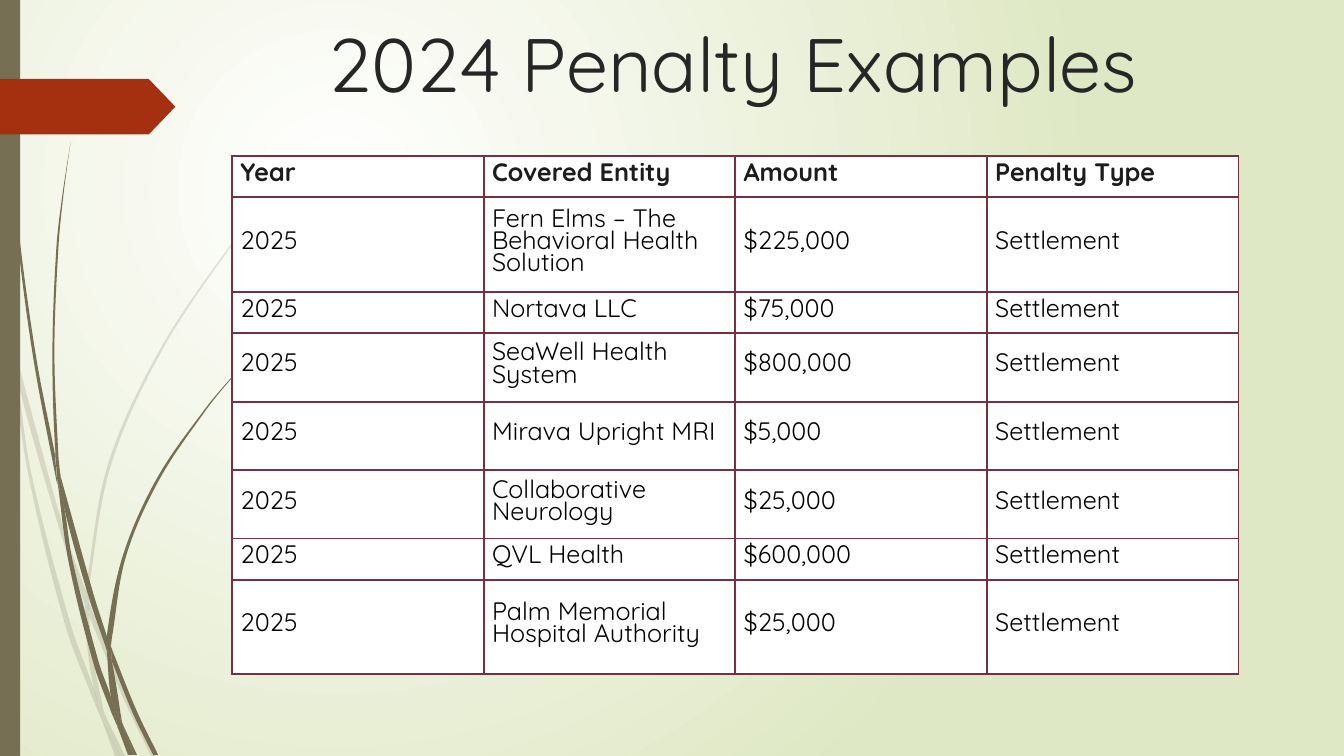
from dataclasses import dataclass
from itertools import product

from lxml.etree import SubElement
from pptx import Presentation
from pptx.dml.color import RGBColor
from pptx.enum.shapes import MSO_SHAPE
from pptx.enum.text import MSO_ANCHOR, PP_ALIGN
from pptx.oxml import parse_xml
from pptx.oxml.ns import nsdecls, qn
from pptx.util import Cm, Pt


@dataclass(frozen=True)
class Theme:
    font: str = "Quicksand"
    title_size: float = 54
    table_size: float = 18
    line_spacing: float = 15.8
    border_width: float = 1.5
    title: str = "262626"
    header: str = "1C1C1C"
    body: str = "000000"
    cell: str = "FFFFFF"
    border: str = "753043"
    stem: str = "766F54"
    arrow: str = "A53010"
    glow: str = "FFFFFF"
    backdrop: str = "DFE8C4"


THEME = Theme()
GRASS_UNIT = 0.0254

PALE_BLADES = [
    [[(11, 350), (9, 322), (0, 282)], [(0, 299), (10, 344), (11, 350)]],
    [[(14, 345), (17, 376), (58, 522), (84, 599)], [(85, 586), (62, 520), (14, 345)]],
    [[(88, 596), (92, 607), (127, 692), (155, 750)], [(150, 750), (123, 694), (88, 610)]],
    [[(105, 711), (124, 750)], [(119, 750), (105, 711)]],
    [[(11, 350), (17, 376), (31, 469), (70, 619), (93, 683), (99, 707), (101, 714)],
     [(92, 693), (65, 621), (28, 470), (11, 350)]],
    [[(84, 599), (87, 646), (93, 683), (96, 692), (105, 711)],
     [(103, 706), (91, 646), (88, 610), (84, 599)]],
    [[(85, 586), (85, 584), (107, 461), (158, 348), (228, 244), (268, 197), (289, 175), (312, 153)],
     [(312, 154), (290, 175), (268, 198), (229, 245), (160, 349), (110, 462), (88, 584), (88, 596)]],
    [[(101, 714), (114, 750)], [(119, 750), (101, 714)]],
    [[(88, 610), (88, 596), (85, 586)], [(84, 599), (88, 608)]],
    [[(93, 683), (99, 707), (101, 714), (119, 750)], [(105, 711), (96, 692), (93, 683)]],
]
DARK_BLADES = [
    [[(3, 0), (4, 48), (7, 110), (17, 233), (33, 355), (56, 477), (57, 481)],
     [(55, 457), (55, 453), (36, 355), (19, 232), (8, 109), (5, 48), (4, 0)]],
    [[(60, 472), (64, 505), (88, 592), (106, 645)], [(106, 631), (93, 590), (60, 472)]],
    [[(110, 641), (113, 649), (136, 706), (157, 749)], [(152, 749), (132, 708), (111, 656)]],
    [[(57, 477), (64, 505), (72, 556), (98, 657), (110, 691), (116, 717), (117, 722)],
     [(111, 708), (93, 659), (68, 557), (57, 477)]],
    [[(60, 472), (58, 453), (54, 349), (58, 245), (63, 193), (70, 141)],
     [(70, 141), (62, 193), (56, 245), (52, 349), (55, 449), (60, 472)]],
    [[(122, 719), (136, 749)], [(133, 749), (122, 719)]],
    [[(57, 477), (64, 505)], [(60, 472), (55, 449)], [(55, 453), (57, 477)]],
    [[(111, 633), (125, 552), (158, 476), (205, 406), (231, 374), (245, 359), (261, 344)],
     [(260, 344), (245, 358), (231, 373), (204, 405), (156, 474), (122, 551), (106, 631), (110, 641)]],
    [[(117, 722), (127, 749)], [(131, 749), (117, 722)]],
    [[(106, 645), (110, 691), (116, 706), (122, 719)], [(121, 716), (111, 656), (106, 645)]],
    [[(106, 645), (111, 656)], [(110, 641), (106, 631)]],
    [[(110, 691), (116, 717), (117, 722), (130, 749)],
     [(133, 749), (122, 719), (116, 706), (110, 691)]],
]

PENALTIES = [
    ("Fern Elms – The Behavioral Health Solution", "$225,000", 2.38),
    ("Nortava LLC", "$75,000", 1.04),
    ("SeaWell Health System", "$800,000", 1.73),
    ("Mirava Upright MRI", "$5,000", 1.73),
    ("Collaborative Neurology", "$25,000", 1.72),
    ("QVL Health", "$600,000", 1.04),
    ("Palm Memorial Hospital Authority", "$25,000", 2.38),
]
HEADINGS = ("Year", "Covered Entity", "Amount", "Penalty Type")
HEADING_HEIGHT = 1.04


def write(frame, text, *, size, color, bold=False, align=PP_ALIGN.LEFT, spacing=None):
    paragraph = frame.paragraphs[0]
    paragraph.alignment = align
    if spacing:
        paragraph.line_spacing = Pt(spacing)
    run = paragraph.add_run()
    run.text = text
    run.font.name = THEME.font
    run.font.size = Pt(size)
    run.font.bold = bold
    run.font.color.rgb = RGBColor.from_string(color)


def paint(shape, color, alpha=None):
    shape.shadow.inherit = False
    shape.fill.solid()
    shape.fill.fore_color.rgb = RGBColor.from_string(color)
    shape.line.fill.background()
    if alpha:
        tint = shape.element.spPr.find(f"{qn('a:solidFill')}/{qn('a:srgbClr')}")
        SubElement(tint, qn("a:alpha"), val=str(alpha * 1000))


def curve_controls(side):
    points = [complex(*point) for point in side]
    ends = [points[0]] + points + [points[-1]]
    headings = [(after - before) / abs(after - before) for before, after in zip(ends, ends[2:])]
    controls = []
    for i, (start, end) in enumerate(zip(points, points[1:])):
        reach = abs(end - start) / 3
        controls += [start + headings[i] * reach, end - headings[i + 1] * reach, end]
    return controls


def bend(blade):
    lines = list(blade.element.iter(qn("a:lnTo")))
    for first, second, last in zip(lines[::3], lines[1::3], lines[2::3]):
        curve = parse_xml(f'<a:cubicBezTo {nsdecls("a")}/>')
        first.addprevious(curve)
        for line in (first, second, last):
            curve.append(line[0])
            line.getparent().remove(line)


def add_grass(slide, left, top, blades, alpha=None):
    for sides in blades:
        outline = [complex(*sides[0][0])]
        for side in sides:
            start = complex(*side[0])
            if start != outline[-1]:
                outline += [outline[-1], start, start]
            outline += curve_controls(side)
        corners = [(Cm(point.real * GRASS_UNIT), Cm(point.imag * GRASS_UNIT)) for point in outline]
        builder = slide.shapes.build_freeform(*corners[0])
        builder.add_line_segments(corners[1:], close=True)
        blade = builder.convert_to_shape(Cm(left), Cm(top))
        bend(blade)
        paint(blade, THEME.stem, alpha)


def add_backdrop(slide):
    fill = slide.background.fill
    fill.gradient()
    for stop, color, position in zip(fill.gradient_stops, (THEME.glow, THEME.backdrop), (0, 1)):
        stop.color.rgb = RGBColor.from_string(color)
        stop.position = position
    linear = slide.element.find(f".//{qn('a:lin')}")
    linear.getparent().replace(linear, parse_xml(
        f'<a:path {nsdecls("a")} path="circle">'
        '<a:fillToRect l="50000" t="50000" r="100000" b="100000"/></a:path>'))


def add_side_decor(slide, left, top, height):
    add_grass(slide, left, top, PALE_BLADES, alpha=20)
    add_grass(slide, left, top, DARK_BLADES)
    bar = slide.shapes.add_shape(MSO_SHAPE.RECTANGLE, Cm(left), Cm(top), Cm(0.51), Cm(height))
    paint(bar, THEME.stem)
    arrow = slide.shapes.add_shape(
        MSO_SHAPE.PENTAGON, Cm(left), Cm(top + 1.99), Cm(4.42), Cm(1.4))
    arrow.adjustments[0] = 0.48
    paint(arrow, THEME.arrow)


def place_title(slide, left, top, width, height):
    title = slide.shapes.title
    title.left, title.top, title.width, title.height = map(Cm, (left, top, width, height))
    title.text_frame.vertical_anchor = MSO_ANCHOR.TOP
    write(title.text_frame, "2024 Penalty Examples", size=THEME.title_size,
          color=THEME.title, align=PP_ALIGN.CENTER)


def outline_cell(cell):
    properties = cell._tc.get_or_add_tcPr()
    for position, edge in enumerate(("lnL", "lnR", "lnT", "lnB")):
        properties.insert(position, parse_xml(
            f'<a:{edge} {nsdecls("a")} w="{Pt(THEME.border_width)}"><a:solidFill>'
            f'<a:srgbClr val="{THEME.border}"/></a:solidFill></a:{edge}>'))


def add_penalty_table(slide, left, top, width):
    rows = [HEADINGS] + [("2025", entity, amount, "Settlement") for entity, amount, _ in PENALTIES]
    heights = [HEADING_HEIGHT] + [height for *_, height in PENALTIES]
    table = slide.shapes.add_table(len(rows), len(HEADINGS), Cm(left), Cm(top),
                                   Cm(width), Cm(sum(heights))).table
    table.first_row = table.horz_banding = False
    for row, height in zip(table.rows, heights):
        row.height = Cm(height)
    for r, c in product(range(len(rows)), range(len(HEADINGS))):
        cell = table.cell(r, c)
        cell.margin_left = cell.margin_right = Cm(0.21)
        cell.margin_top = cell.margin_bottom = Cm(0.15)
        cell.vertical_anchor = MSO_ANCHOR.MIDDLE
        cell.fill.solid()
        cell.fill.fore_color.rgb = RGBColor.from_string(THEME.cell)
        outline_cell(cell)
        write(cell.text_frame, rows[r][c], size=THEME.table_size, bold=r == 0,
              color=THEME.body if r else THEME.header, spacing=THEME.line_spacing)


def main():
    deck = Presentation()
    deck.slide_width, deck.slide_height = Cm(33.87), Cm(19.05)
    slide = deck.slides.add_slide(deck.slide_layouts[5])
    add_backdrop(slide)
    add_side_decor(slide, 0, 0, 19.05)
    place_title(slide, 4.35, 0.3, 28.24, 2.39)
    add_penalty_table(slide, 5.85, 3.93, 25.36)
    deck.save("out.pptx")


if __name__ == "__main__":
    main()
